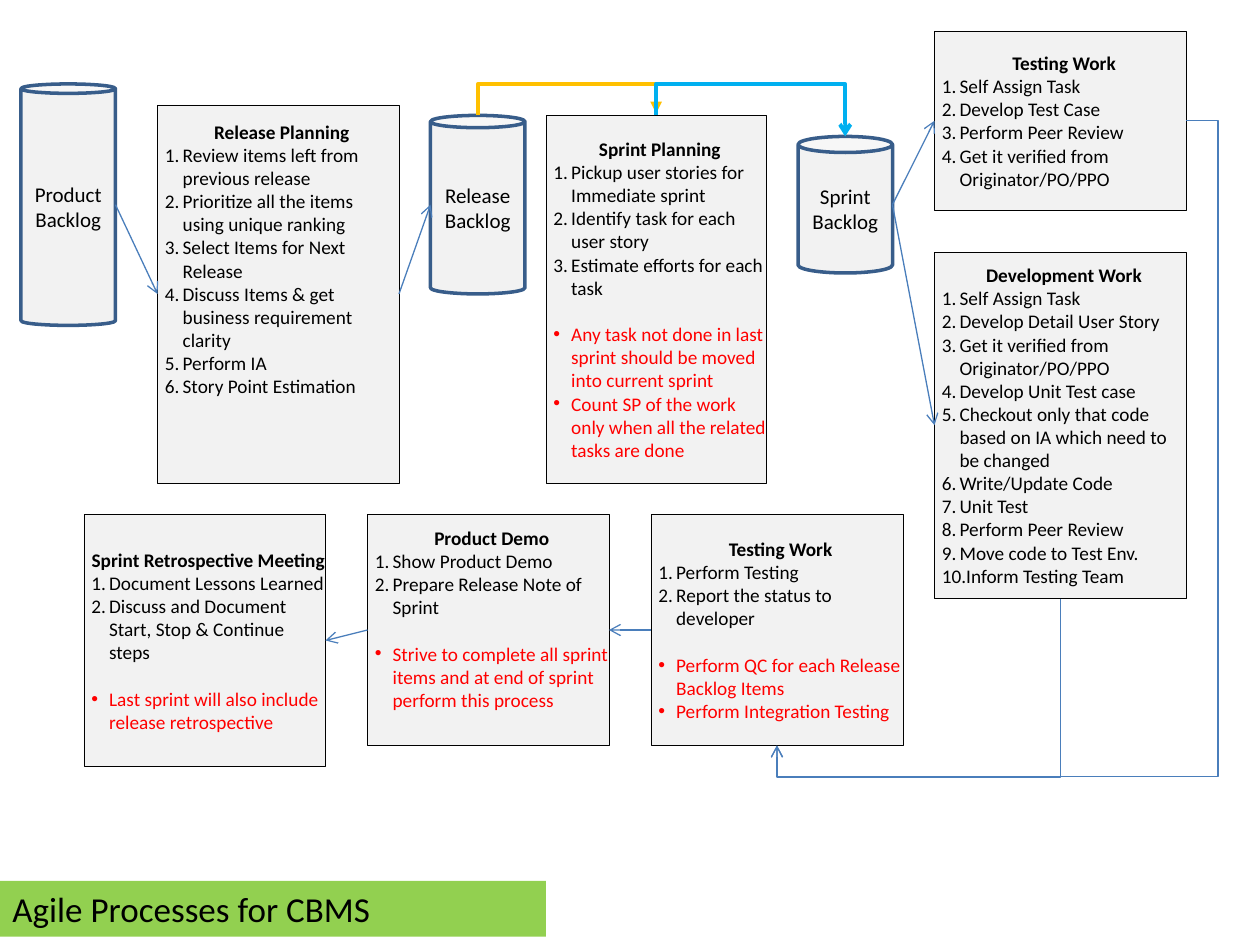
from lxml.etree import SubElement
from pptx import Presentation
from pptx.dml.color import RGBColor
from pptx.enum.shapes import MSO_CONNECTOR as Link, MSO_SHAPE as Shape
from pptx.enum.text import MSO_ANCHOR as Anchor, PP_ALIGN as Align
from pptx.oxml.ns import qn
from pptx.util import Emu, Pt

PX = 7620  # 120 px to the inch
BLACK = RGBColor(0, 0, 0)
RED = RGBColor(255, 0, 0)
GREEN = RGBColor(146, 208, 80)
GREY = RGBColor(242, 242, 242)
NAVY = RGBColor(56, 93, 138)
BLUE = RGBColor(74, 126, 187)
GOLD = RGBColor(255, 192, 0)
CYAN = RGBColor(0, 176, 240)

deck = Presentation()
deck.slide_width, deck.slide_height = Emu(1200 * PX), Emu(900 * PX)
slide = deck.slides.add_slide(deck.slide_layouts[6])


def block(kind, area, fill, edge, width, frame_format):
    """Add a filled shape; return it with its text frame set up."""
    shape = slide.shapes.add_shape(kind, *[Emu(n * PX) for n in area])
    shape.shadow.inherit = False
    shape.fill.solid()
    shape.fill.fore_color.rgb = fill
    if edge is None:
        shape.line.fill.background()
    else:
        shape.line.color.rgb = edge
        shape.line.width = Pt(width)
    for name, value in frame_format.items():
        setattr(shape.text_frame, name, value)
    return shape


def write(para, text, color, align=Align.LEFT, **form):
    para.alignment = align
    run = para.add_run()
    run.text = text
    run.font.color.rgb = color
    for name, value in {"name": "Calibri", **form}.items():
        setattr(run.font, name, value)


# Title band
band = block(Shape.RECTANGLE, (0, 839, 520, 53), GREEN, None, 0,
             {"word_wrap": True, "vertical_anchor": Anchor.TOP})
write(band.text_frame.paragraphs[0], "Agile Processes for CBMS", BLACK, size=Pt(20))

# Backlogs
backlogs = [
    ("Product Backlog", 20, 80, 230),
    ("Release Backlog", 410, 110, 170),
    ("Sprint Backlog", 760, 130, 130),
]
for text, left, top, high in backlogs:
    can = block(Shape.CAN, (left, top, 90, high), GREY, NAVY, 2,
                {"word_wrap": True, "vertical_anchor": Anchor.MIDDLE})
    can.adjustments[0] = {230: 0.1, 170: 0.13, 130: 0.17}[high]
    write(can.text_frame.paragraphs[0], text, BLACK, Align.CENTER, size=Pt(12))

# Work steps: title, area, bottom inset, numbered steps, red notes
steps = [
    ("Release Planning", (150, 100, 230, 360), 67,
     ["Review items left from previous release",
      "Prioritize all the items using unique ranking",
      "Select Items for Next Release",
      "Discuss Items & get business requirement clarity",
      "Perform IA",
      "Story Point Estimation"], []),
    ("Sprint Planning", (520, 110, 210, 350), 0,
     ["Pickup user stories for Immediate sprint",
      "Identify task for each user story",
      "Estimate efforts for each task"],
     ["Any task not done in last sprint should be moved into current sprint",
      "Count SP of the work only when all the related tasks are done"]),
    ("Development Work", (890, 240, 240, 330), 0,
     ["Self Assign Task",
      "Develop Detail User Story",
      "Get it verified from Originator/PO/PPO",
      "Develop Unit Test case",
      "Checkout only that code based on IA which need to be changed",
      "Write/Update Code",
      "Unit Test",
      "Perform Peer Review",
      "Move code to Test Env.",
      "Inform Testing Team"], []),
    ("Testing Work", (890, 30, 240, 170), 0,
     ["Self Assign Task",
      "Develop Test Case",
      "Perform Peer Review",
      "Get it verified from Originator/PO/PPO"], []),
    ("Testing Work", (620, 490, 240, 220), 0,
     ["Perform Testing",
      "Report the status to developer"],
     ["Perform QC for each Release Backlog Items",
      "Perform Integration Testing"]),
    ("Product Demo", (350, 490, 230, 220), 22,
     ["Show Product Demo",
      "Prepare Release Note of Sprint"],
     ["Strive to complete all sprint items and at end of sprint perform this process"]),
    ("Sprint Retrospective Meeting", (80, 490, 230, 240), 0,
     ["Document Lessons Learned",
      "Discuss and Document Start, Stop & Continue steps"],
     ["Last sprint will also include release retrospective"]),
]
for title, area, inset, tasks, notes in steps:
    box = block(Shape.RECTANGLE, area, GREY, BLACK, 0.25, {
        "word_wrap": True, "vertical_anchor": Anchor.MIDDLE,
        "margin_left": 0, "margin_top": 0, "margin_right": 0,
        "margin_bottom": Emu(inset * PX)})
    frame = box.text_frame
    rows = [(title, BLACK, None)]
    rows += [(task, BLACK, ("a:buAutoNum", "type", "arabicPeriod")) for task in tasks]
    rows += [(note, RED, ("a:buChar", "char", "•")) for note in notes]
    for i, (text, color, mark) in enumerate(rows):
        para = frame.add_paragraph() if i else frame.paragraphs[0]
        props = para._p.get_or_add_pPr()
        props.set("marL", str(24 * PX))
        props.set("indent", str(-17 * PX))
        if mark:
            tag, key, value = mark
            if color == RED:
                SubElement(props, qn("a:buFont")).set("typeface", "Arial")
            SubElement(props, qn(tag)).set(key, value)
        if notes and text == notes[0]:
            para.space_before = Pt(13.4)
        write(para, text, color, Align.LEFT if mark else Align.CENTER,
              size=Pt(11), bold=mark is None)

# Arrows: ends before turning, turn in degrees, bends in percent, colour, width, head
thin = (BLUE, 0.75, "arrow")
arrows = [
    ((110, 195, 150, 280), 0, [], *thin),
    ((380, 280, 410, 195), 0, [], *thin),
    ((850, 195, 890, 405), 0, [], *thin),
    ((850, 195, 890, 115), 0, [], *thin),
    ((620, 600, 580, 600), 0, [], *thin),
    ((350, 600, 310, 610), 0, [], *thin),
    ((1130, 115, 740, 710), 0, [-7.7, 105], *thin),
    ((805, 505, 945, 775), 90, [121.4], *thin),
    ((541, 194, 539, 24), 90, [1500], GOLD, 2.25, "triangle"),
    ((725, 30, 705, 210), 270, [-150], CYAN, 2.25, "arrow"),
]
for ends, turn, bends, color, width, head in arrows:
    kind = Link.ELBOW if bends else Link.STRAIGHT
    arrow = slide.shapes.add_connector(kind, *[Emu(n * PX) for n in ends])
    arrow.line.color.rgb = color
    arrow.line.width = Pt(width)
    props = arrow._element.spPr
    if turn:
        props.find(qn("a:xfrm")).set("rot", str(turn * 60000))
    if bends:
        shape = props.find(qn("a:prstGeom"))
        shape.set("prst", f"bentConnector{len(bends) + 2}")
        guides = shape.find(qn("a:avLst"))
        if guides is None:
            guides = SubElement(shape, qn("a:avLst"))
        for i, bend in enumerate(bends, 1):
            guide = SubElement(guides, qn("a:gd"))
            guide.set("name", f"adj{i}")
            guide.set("fmla", f"val {round(bend * 1000)}")
    SubElement(props.find(qn("a:ln")), qn("a:tailEnd")).set("type", head)
    SubElement(props, qn("a:effectLst"))

deck.save("out.pptx")
